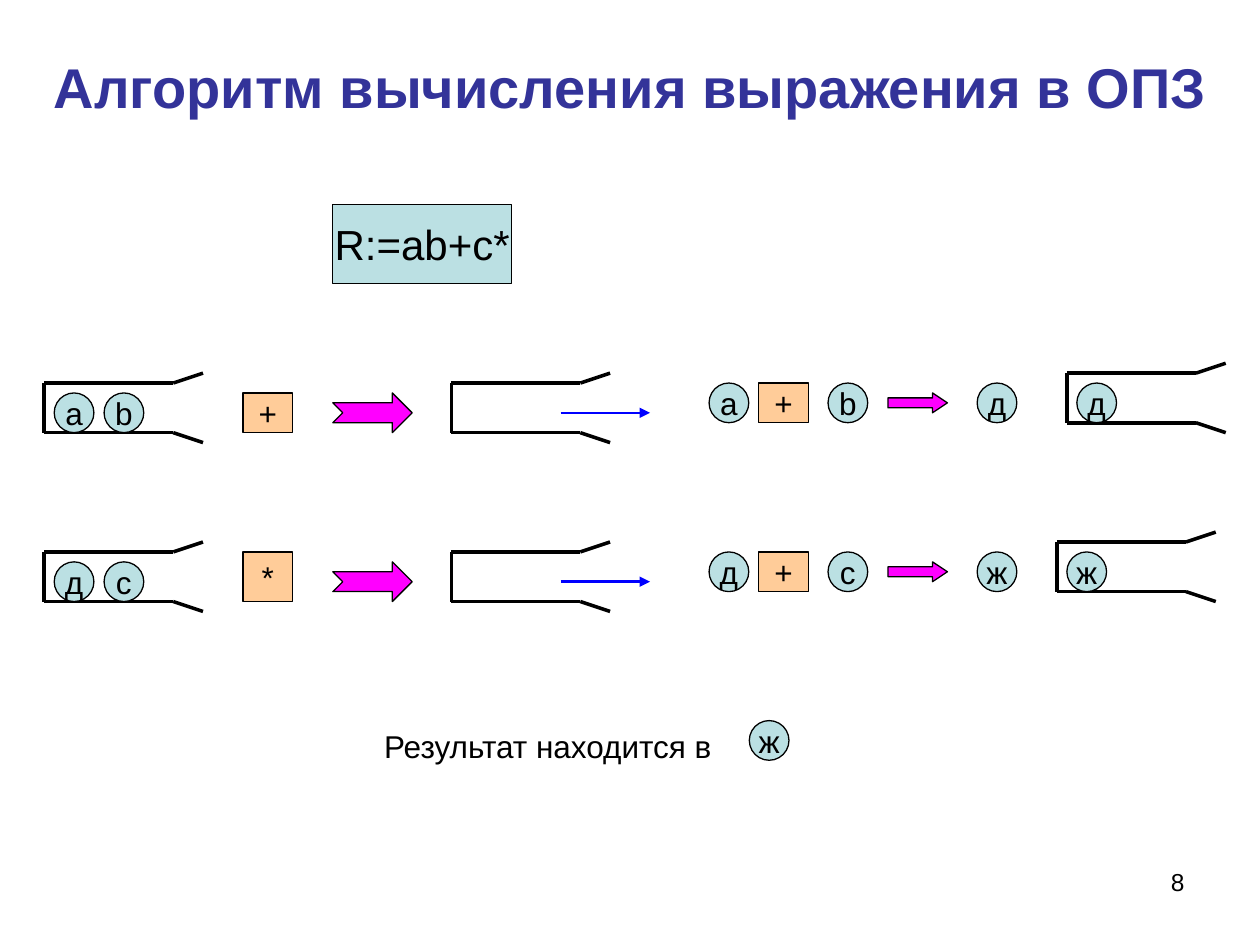
import pptx
import pptx.util
import pptx.dml.color
import pptx.enum.shapes
import pptx.enum.text
import pptx.oxml.ns
from lxml import etree

Pt = pptx.util.Pt
RGB = pptx.dml.color.RGBColor.from_string
SHAPE = pptx.enum.shapes.MSO_SHAPE
ALIGN = pptx.enum.text.PP_ALIGN
ANCHOR = pptx.enum.text.MSO_ANCHOR
qn = pptx.oxml.ns.qn


class Theme:
    font = "Arial"
    title, ink, operand = RGB("333399"), RGB("000000"), RGB("BBE0E3")
    operator, step, pop = RGB("FFCC99"), RGB("FF00FF"), RGB("0000FF")
    title_size, formula_size, body_size, number_size = 32, 24, 18, 14
    outline, wall, pop_line = 0.75, 2, 1.5


STEP = 5.67  # drawing grid
DIAMETER = 4 * STEP
ROW_TOPS = (218.9, 315.4)


def write(tf, text, size=Theme.body_size, color=Theme.ink, bold=False,
          align=ALIGN.CENTER, anchor=ANCHOR.MIDDLE, wrap=False):
    frame = {"word_wrap": wrap, "vertical_anchor": anchor,
             "auto_size": pptx.enum.text.MSO_AUTO_SIZE.NONE}
    for name, value in frame.items():
        setattr(tf, name, value)
    p = tf.paragraphs[0]
    p.alignment = align
    r = p.add_run()
    r.text = text
    for name, value in {"name": Theme.font, "size": Pt(size), "bold": bold}.items():
        setattr(r.font, name, value)
    r.font.color.rgb = color
    return p


def add_box(s, kind, x, y, w, h, fill, text="", size=Theme.body_size):
    sp = s.shapes.add_shape(kind, Pt(x), Pt(y), Pt(w), Pt(h))
    sp.shadow.inherit = False
    sp.fill.solid()
    sp.fill.fore_color.rgb = fill
    sp.line.color.rgb = Theme.ink
    sp.line.width = Pt(Theme.outline)
    if text:
        write(sp.text_frame, text, size)
    return sp


def add_operand(s, x, y, text):
    add_box(s, SHAPE.OVAL, x, y, DIAMETER, DIAMETER, Theme.operand, text)


def add_operator(s, x, y, text, h=DIAMETER):
    add_box(s, SHAPE.RECTANGLE, x, y, 5 * STEP, h, Theme.operator, text)


def add_line(s, start, end, color, width, arrow=False):
    line = s.shapes.add_connector(pptx.enum.shapes.MSO_CONNECTOR.STRAIGHT,
                                  *(Pt(v) for v in start + end))
    line.line.color.rgb = color
    line.line.width = Pt(width)
    if arrow:
        etree.SubElement(line.line._get_or_add_ln(), qn("a:tailEnd"), type="triangle")
    etree.SubElement(line._element.spPr, qn("a:effectLst"))


def add_stack(s, x, y):
    """Stack lying on its side, with flared walls at its open end."""
    bottom, mouth, lip = y + 5 * STEP, x + 13 * STEP, x + 16 * STEP
    for start, end in (((x, y), (mouth, y)),
                       ((x, y), (x, bottom)),
                       ((x, bottom), (mouth, bottom)),
                       ((mouth, y), (lip, y - STEP)),
                       ((mouth, bottom), (lip, bottom + STEP))):
        add_line(s, start, end, Theme.ink, Theme.wall)


def add_text(s, x, y, w, h, text, size, align):
    tf = s.shapes.add_textbox(Pt(x), Pt(y), Pt(w), Pt(h)).text_frame
    return write(tf, text, size, align=align, anchor=ANCHOR.TOP, wrap=True)


def add_row(s, y, left, right, operator, operator_y, operator_h, result, result_x):
    # Stack before the operation and the operator that arrives
    add_stack(s, 25.3, y)
    add_operand(s, 31, y + STEP, left)
    add_operand(s, 59.5, y + STEP, right)
    add_operator(s, 138.9, operator_y, operator, operator_h)
    add_box(s, SHAPE.NOTCHED_RIGHT_ARROW, 190.2, y + STEP, 8 * STEP, DIAMETER, Theme.step)

    # Operands leave the stack
    add_stack(s, 257.9, y)
    add_line(s, (320.4, y + 3 * STEP), (371.5, y + 3 * STEP),
             Theme.pop, Theme.pop_line, arrow=True)

    # The operation and its result
    add_operand(s, 405.2, y, left)
    add_operator(s, 433.6, y, "+")
    add_operand(s, 473.2, y, right)
    sp = add_box(s, SHAPE.RIGHT_ARROW, 507.4, y + STEP, 6 * STEP, 2 * STEP, Theme.step)
    sp.adjustments[1] = 0.75
    add_operand(s, 558.4, y, result)

    # Stack after the operation
    add_stack(s, result_x, y - STEP)
    add_operand(s, result_x + STEP, y, result)


def main():
    prs = pptx.Presentation()
    prs.slide_width, prs.slide_height = Pt(720), Pt(540)
    s = prs.slides.add_slide(prs.slide_layouts[5])

    # Title and formula
    title = s.shapes.title
    box = {"left": 14.2, "top": 21.6, "width": 692, "height": 55.4}
    for name, value in box.items():
        setattr(title, name, Pt(value))
    write(title.text_frame, "Алгоритм вычисления выражения в ОПЗ",
          Theme.title_size, Theme.title, bold=True, wrap=True)
    add_box(s, SHAPE.RECTANGLE, 190.2, 116.8, 102.1, 45.4, Theme.operand,
            "R:=ab+c*", Theme.formula_size)

    # Evaluation steps
    first, second = ROW_TOPS
    add_row(s, first, "a", "b", "+", first + STEP, DIAMETER, "д", 609.7)
    add_row(s, second, "д", "с", "*", second, 5 * STEP, "ж", 604)

    # Result and slide number
    p = add_text(s, 212.4, 411.8, 215.3, 28.8, "Результат находится в",
                 Theme.body_size, ALIGN.LEFT)
    p.space_before = Pt(11.2)
    add_operand(s, 428.2, 411.8, "ж")
    add_text(s, 516.2, 491.8, 167.8, 37.4, "8", Theme.number_size, ALIGN.RIGHT)

    prs.save("out.pptx")


if __name__ == "__main__":
    main()
